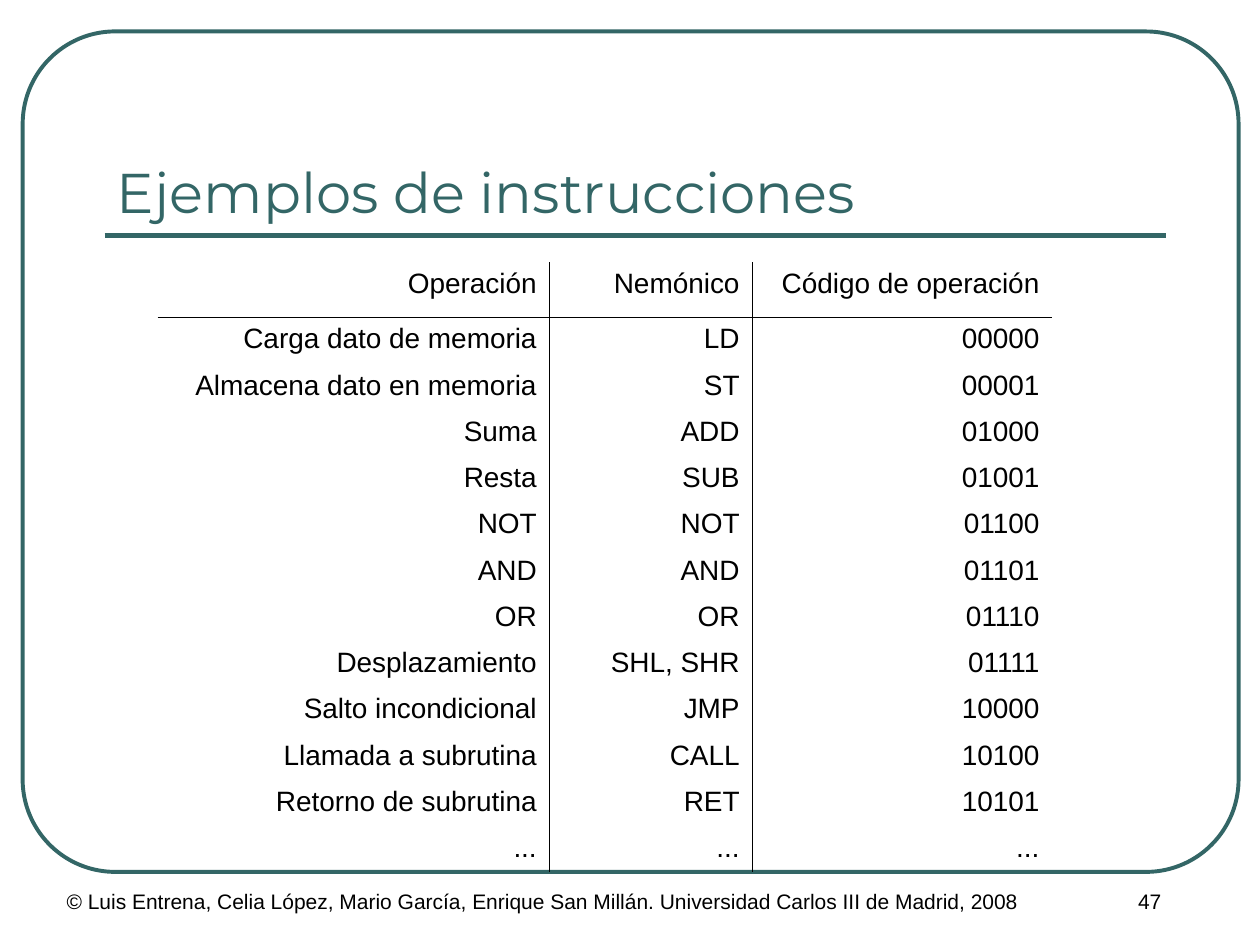
from dataclasses import dataclass

from lxml import etree
from pptx import Presentation
from pptx.dml.color import RGBColor
from pptx.enum.shapes import MSO_CONNECTOR, MSO_SHAPE
from pptx.enum.text import MSO_ANCHOR, PP_ALIGN
from pptx.oxml.ns import qn
from pptx.util import Inches, Pt

ROUNDED = MSO_SHAPE.ROUNDED_RECTANGLE
STRAIGHT = MSO_CONNECTOR.STRAIGHT
TOP, BOTTOM = MSO_ANCHOR.TOP, MSO_ANCHOR.BOTTOM
LEFT, CENTER, RIGHT = PP_ALIGN.LEFT, PP_ALIGN.CENTER, PP_ALIGN.RIGHT

COLUMN_WIDTHS = (3.11, 1.61, 2.38)
TABLE_HEIGHT = 4.82
HEADER_HEIGHT = 0.44
INSTRUCTIONS = [
    ("Operación", "Nemónico", "Código de operación"),
    ("Carga dato de memoria", "LD", "00000"),
    ("Almacena dato en memoria", "ST", "00001"),
    ("Suma", "ADD", "01000"),
    ("Resta", "SUB", "01001"),
    ("NOT", "NOT", "01100"),
    ("AND", "AND", "01101"),
    ("OR", "OR", "01110"),
    ("Desplazamiento", "SHL, SHR", "01111"),
    ("Salto incondicional", "JMP", "10000"),
    ("Llamada a subrutina", "CALL", "10100"),
    ("Retorno de subrutina", "RET", "10101"),
    ("...", "...", "..."),
]


@dataclass(frozen=True)
class Theme:
    accent: str = "336666"
    ink: str = "000000"
    title_font: str = "Montserrat"
    body_font: str = "Arial"
    title_size: float = 32
    table_size: float = 16
    footer_size: float = 12
    frame_width: float = 2.25
    rule_width: float = 3
    grid_width: float = 0.45


class SlideBuilder:
    def __init__(self, page, theme):
        self.page = page
        self.theme = theme

    def style_text(self, frame, size, font, color, align):
        for para in frame.paragraphs:
            para.alignment = align
            for span in para.runs:
                span.font.size = Pt(size)
                span.font.name = font
                span.font.color.rgb = RGBColor.from_string(color)

    def outline(self, line, width):
        line.color.rgb = RGBColor.from_string(self.theme.accent)
        line.width = Pt(width)

    def frame(self, left, top, width, height, radius):
        box = self.page.shapes.add_shape(
            ROUNDED, Inches(left), Inches(top), Inches(width), Inches(height))
        box.adjustments[0] = radius
        box.shadow.inherit = False
        box.fill.background()
        self.outline(box.line, self.theme.frame_width)

    def rule(self, left, right, y):
        line = self.page.shapes.add_connector(
            STRAIGHT, Inches(left), Inches(y), Inches(right), Inches(y))
        self.outline(line.line, self.theme.rule_width)
        etree.SubElement(line._element.spPr, qn("a:effectLst"))

    def text(self, words, left, top, width, height, size, font, color,
             align=LEFT, anchor=TOP):
        box = self.page.shapes.add_textbox(
            Inches(left), Inches(top), Inches(width), Inches(height))
        frame = box.text_frame
        frame.word_wrap = True
        frame.vertical_anchor = anchor
        frame.text = words
        self.style_text(frame, size, font, color, align)

    def borders(self, cell, visible):
        properties = cell._tc.get_or_add_tcPr()
        for side in "LRTB":
            line = etree.SubElement(properties, qn(f"a:ln{side}"))
            if side in visible:
                line.set("w", str(Pt(self.theme.grid_width)))
                fill = etree.SubElement(line, qn("a:solidFill"))
                etree.SubElement(fill, qn("a:srgbClr"), val=self.theme.ink)
            else:
                line.set("w", "0")
                etree.SubElement(line, qn("a:noFill"))

    def table(self, rows, left, top, widths, height, header_height):
        theme = self.theme
        table = self.page.shapes.add_table(
            len(rows), len(widths), Inches(left), Inches(top),
            Inches(sum(widths)), Inches(height)).table
        table.first_row = False
        table.horz_banding = False
        for column, width in zip(table.columns, widths):
            column.width = Inches(width)
        body_height = (height - header_height) / (len(rows) - 1)
        last = len(widths) - 1
        for r, values in enumerate(rows):
            table.rows[r].height = Inches(body_height if r else header_height)
            for c, value in enumerate(values):
                cell = table.cell(r, c)
                cell.text_frame.text = value
                self.style_text(cell.text_frame, theme.table_size,
                                theme.body_font, theme.ink, RIGHT)
                visible = {0: "B", 1: "T"}.get(r, "")
                visible += "L" if c > 0 else ""
                visible += "R" if c < last else ""
                self.borders(cell, visible)
                cell.fill.background()


def main():
    deck = Presentation()
    deck.slide_width, deck.slide_height = Inches(10), Inches(7.5)
    theme = Theme()
    slide = SlideBuilder(deck.slides.add_slide(deck.slide_layouts[6]), theme)
    slide.frame(0.18, 0.25, 9.65, 6.67, 0.11)
    slide.rule(0.83, 9.25, 1.87)
    footer = (theme.footer_size, theme.body_font, theme.ink)
    slide.text("© Luis Entrena, Celia López, Mario García, Enrique San Millán. "
               "Universidad Carlos III de Madrid, 2008",
               0.43, 7, 7.82, 0.5, *footer)
    slide.text("47", 8.25, 7, 1.75, 0.5, *footer, align=CENTER)
    slide.text("Ejemplos de instrucciones", 0.83, 0.58, 8.42, 1.25,
               theme.title_size, theme.title_font, theme.accent, anchor=BOTTOM)
    slide.table(INSTRUCTIONS, 1.25, 2.08, COLUMN_WIDTHS,
                TABLE_HEIGHT, HEADER_HEIGHT)
    deck.save("out.pptx")


if __name__ == "__main__":
    main()
